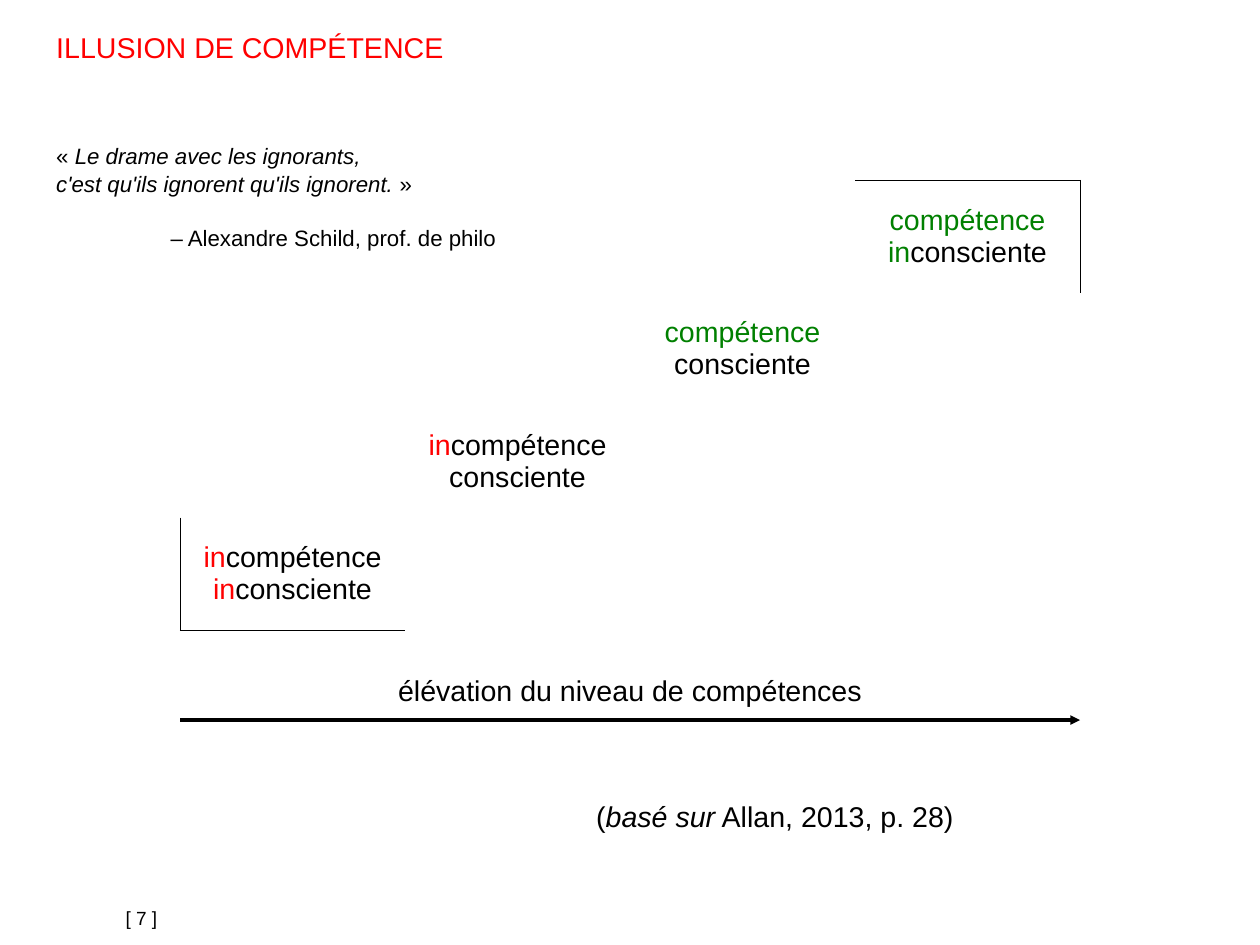
import lxml.etree
import pptx
import pptx.dml.color
import pptx.enum.shapes
import pptx.enum.text
import pptx.oxml.ns
import pptx.util

COLORS = {"black": "000000", "red": "FF0000", "green": "008000"}
FONT = "Arial"
BODY_SIZE = 18
QUOTE_SIZE = 14
QUOTE_INDENT = pptx.util.Inches(1)
LINE_SPACING = 1.05
CENTER = pptx.enum.text.PP_ALIGN.CENTER

# Slide grid: 28 columns by 21 rows of one centimetre.
COLUMNS, ROWS = 28, 21
STEP_WIDTH, STEP_HEIGHT = 5, 2.5
STAIRS_LEFT, STAIRS_TOP = 4, 4
BORDER_WIDTH = pptx.util.Pt(0.06)

# Each step, from top to bottom: its runs and the sides that are drawn.
STEPS = [
    ([("compétence in", "green"), ("consciente", "black")], "RT"),
    ([("compétence", "green"), (" consciente", "black")], ""),
    ([("in", "red"), ("compétence consciente", "black")], ""),
    ([("in", "red"), ("compétence ", "black"),
      ("in", "red"), ("consciente", "black")], "LB"),
]


def grid(cells):
    return pptx.util.Cm(cells)


def color(name):
    return pptx.dml.color.RGBColor.from_string(COLORS[name])


def add_run(paragraph, text, color_name="black", size=BODY_SIZE, italic=False):
    run = paragraph.add_run()
    run.text = text
    run.font.name = FONT
    run.font.size = pptx.util.Pt(size)
    run.font.italic = italic
    run.font.color.rgb = color(color_name)


def add_text_box(slide, left, top, width, height):
    """Add a wrapping text box and return its text frame."""
    frame = slide.shapes.add_textbox(*map(grid, (left, top, width, height))).text_frame
    frame.word_wrap = True
    frame.paragraphs[0].line_spacing = LINE_SPACING
    return frame


def add_label(slide, area, runs, alignment=None):
    """Add one paragraph; each run is a tuple of add_run arguments."""
    paragraph = add_text_box(slide, *area).paragraphs[0]
    paragraph.alignment = alignment
    for run in runs:
        add_run(paragraph, *run)


def add_quote(slide):
    frame = add_text_box(slide, 1, 3, 13, 3)
    opening = frame.paragraphs[0]
    add_run(opening, "« ", size=QUOTE_SIZE)
    add_run(opening, "Le drame avec les ignorants,", size=QUOTE_SIZE, italic=True)

    closing = frame.add_paragraph()
    closing.line_spacing = LINE_SPACING
    add_run(closing, "c'est qu'ils ignorent qu'ils ignorent.", size=QUOTE_SIZE, italic=True)
    add_run(closing, " »", size=QUOTE_SIZE)

    author = frame.add_paragraph()
    author.line_spacing = LINE_SPACING
    author.space_before = pptx.util.Pt(16.8)
    author._p.get_or_add_pPr().set("marL", str(QUOTE_INDENT))
    add_run(author, "– Alexandre Schild, prof. de philo", size=QUOTE_SIZE)


def style_cell(cell, sides):
    """Draw only the given sides (letters among L, R, T, B), without fill."""
    properties = cell._tc.get_or_add_tcPr()
    qn = pptx.oxml.ns.qn
    for side in "LRTB":
        border = lxml.etree.SubElement(properties, qn(f"a:ln{side}"), w=str(BORDER_WIDTH))
        if side in sides:
            fill = lxml.etree.SubElement(border, qn("a:solidFill"))
            lxml.etree.SubElement(fill, qn("a:srgbClr"), val=COLORS["black"])
        else:
            lxml.etree.SubElement(border, qn("a:noFill"))
    cell.fill.background()


def add_stairs(slide):
    """Add the table whose filled cells climb from bottom left to top right."""
    count = len(STEPS)
    table = slide.shapes.add_table(
        count, count, grid(STAIRS_LEFT), grid(STAIRS_TOP),
        grid(count * STEP_WIDTH), grid(count * STEP_HEIGHT)).table
    table.first_row = False
    table.horz_banding = False
    for row, (runs, sides) in enumerate(STEPS):
        step_column = count - 1 - row
        for column in range(count):
            style_cell(table.cell(row, column), sides if column == step_column else "")
        cell = table.cell(row, step_column)
        cell.vertical_anchor = pptx.enum.text.MSO_ANCHOR.MIDDLE
        paragraph = cell.text_frame.paragraphs[0]
        paragraph.alignment = CENTER
        for text, color_name in runs:
            add_run(paragraph, text, color_name)


def add_arrow(slide, left, right, top):
    arrow = slide.shapes.add_connector(
        pptx.enum.shapes.MSO_CONNECTOR.STRAIGHT,
        grid(left), grid(top), grid(right), grid(top))
    arrow.line.color.rgb = color("black")
    arrow.line.width = 0
    qn = pptx.oxml.ns.qn
    lxml.etree.SubElement(arrow.line._get_or_add_ln(), qn("a:tailEnd"), type="triangle")
    lxml.etree.SubElement(arrow._element.spPr, qn("a:effectLst"))


def main():
    presentation = pptx.Presentation()
    presentation.slide_width = grid(COLUMNS)
    presentation.slide_height = grid(ROWS)
    slide = presentation.slides.add_slide(presentation.slide_layouts[6])

    add_label(slide, (2.54, 20, 5, 0.75), [("[ 7 ]", "black", 12)])
    add_label(slide, (1, 0.5, 15, 1), [("ILLUSION DE COMPÉTENCE", "red")])
    add_quote(slide)
    add_label(slide, (13, 17.6, 14, 1), [
        ("(",), ("basé sur", "black", BODY_SIZE, True), (" Allan, 2013, p. 28)",)])
    add_stairs(slide)
    add_arrow(slide, STAIRS_LEFT, STAIRS_LEFT + len(STEPS) * STEP_WIDTH, 16)
    add_label(slide, (7, 14.8, 14, 1), [("élévation du niveau de compétences",)], CENTER)

    presentation.save("out.pptx")


if __name__ == "__main__":
    main()
